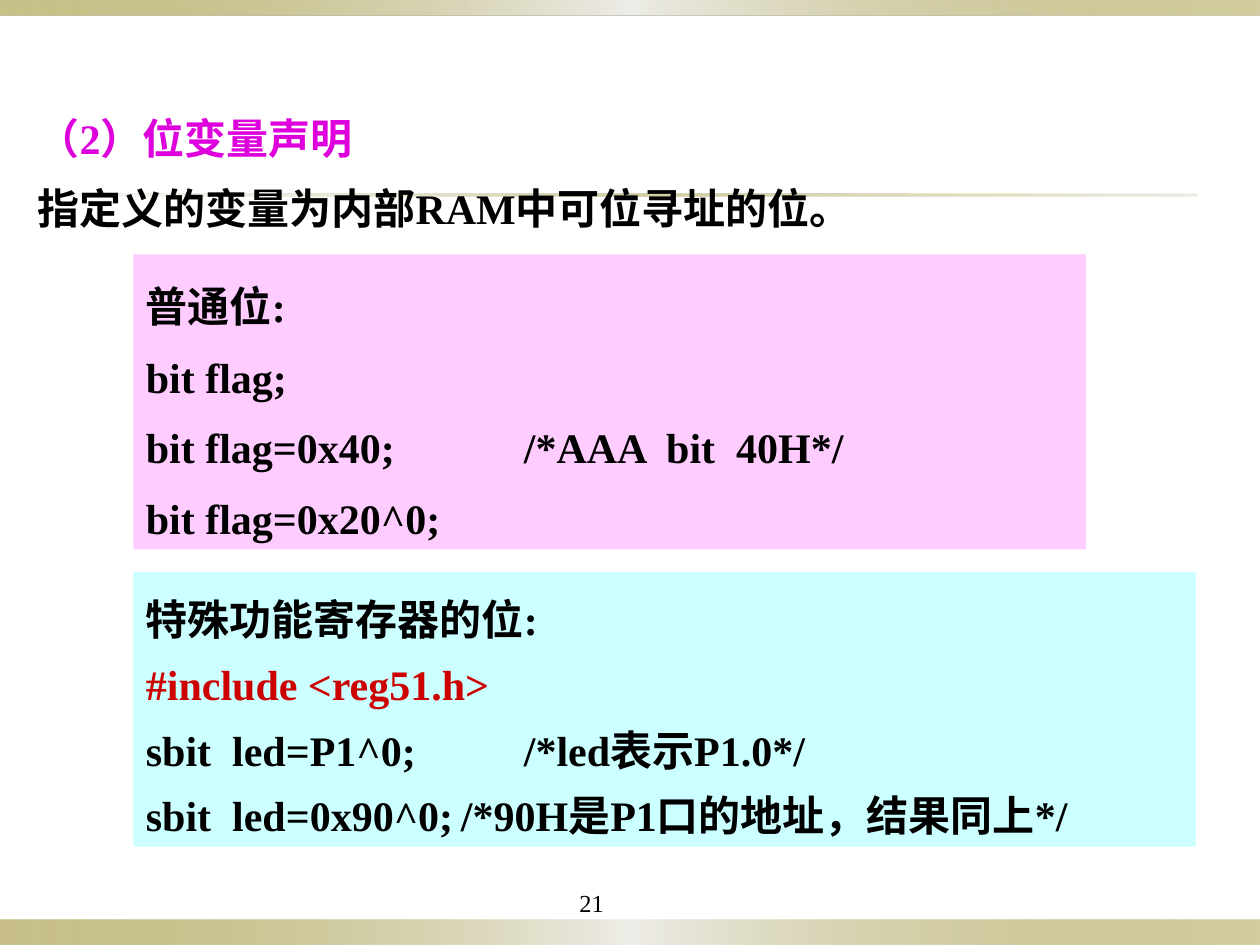
from pptx import Presentation
from pptx.dml.color import RGBColor
from pptx.enum.shapes import MSO_SHAPE as Shape
from pptx.enum.text import MSO_ANCHOR as Anchor, PP_ALIGN as Align
from pptx.oxml import parse_xml
from pptx.oxml.ns import nsdecls, qn
from pptx.util import Inches, Pt

BLACK = RGBColor(0x00, 0x00, 0x00)
MAGENTA = RGBColor(0xDD, 0x00, 0xDD)
RED = RGBColor(0xCC, 0x00, 0x00)
PINK = RGBColor(0xFF, 0xCC, 0xFF)
CYAN = RGBColor(0xCC, 0xFF, 0xFF)
OLIVE = RGBColor(0x91, 0x84, 0x15)
PALE = RGBColor(0xEE, 0xED, 0xE8)
SAND = RGBColor(0xDC, 0xD9, 0xCC)
FONT = "Times New Roman"
BAR_STOPS = [(0, OLIVE, 50), (50, PALE, 100), (100, OLIVE, 40)]
RULE_STOPS = [(0, SAND, 20), (50, OLIVE, 40), (100, SAND, 50)]


def add_rectangle(page, left, top, width, height):
    box = page.shapes.add_shape(
        Shape.RECTANGLE, Inches(left), Inches(top), Inches(width), Inches(height)
    )
    box.shadow.inherit = False
    box.line.fill.background()
    return box


def add_gradient_bar(page, left, top, width, height, stops):
    bar = add_rectangle(page, left, top, width, height)
    bar.fill.gradient()
    bar.fill.gradient_angle = 0
    stop_list = bar.fill._xPr.find(qn("a:gradFill")).find(qn("a:gsLst"))
    for stop in list(stop_list):
        stop_list.remove(stop)
    for position, color, opacity in stops:
        stop_list.append(parse_xml(
            f'<a:gs {nsdecls("a")} pos="{position * 1000}"><a:srgbClr val="{color}">'
            f'<a:alpha val="{opacity * 1000}"/></a:srgbClr></a:gs>'
        ))


def write_lines(box, lines, size=24, bold=True, spacing=1.0):
    frame = box.text_frame
    frame.word_wrap = True
    frame.vertical_anchor = Anchor.TOP
    frame.text = "\n".join(text for text, color in lines)
    for para, (text, color) in zip(frame.paragraphs, lines):
        para.alignment = Align.LEFT
        para.line_spacing = spacing
        for span in para.runs:
            span.font.name = FONT
            span.font.size = Pt(size)
            span.font.bold = bold
            span.font.color.rgb = color


def add_text(page, left, top, width, height, lines, **style):
    box = page.shapes.add_textbox(
        Inches(left), Inches(top), Inches(width), Inches(height)
    )
    write_lines(box, lines, **style)


def add_code_panel(page, left, top, width, height, fill, lines, spacing):
    panel = add_rectangle(page, left, top, width, height)
    panel.fill.solid()
    panel.fill.fore_color.rgb = fill
    write_lines(panel, lines, spacing=spacing)


def main():
    deck = Presentation()
    deck.slide_width, deck.slide_height = Inches(10), Inches(7.5)
    page = deck.slides.add_slide(deck.slide_layouts[6])

    add_gradient_bar(page, 0, 7.3, 10, 0.2, BAR_STOPS)
    add_gradient_bar(page, 0, 0, 10, 0.12, BAR_STOPS)
    add_gradient_bar(page, 0.5, 1.54, 9, 0.02, RULE_STOPS)
    add_text(page, 4.5, 7, 1, 0.31, [("21", BLACK)], size=14, bold=False)
    add_text(page, 0.2, 0.68, 9.14, 1.22, [
        ("（2）位变量声明", MAGENTA),
        ("指定义的变量为内部RAM中可位寻址的位。", BLACK),
    ], spacing=1.4)
    add_code_panel(page, 1.06, 2.02, 7.56, 2.34, PINK, [
        ("普通位:", BLACK),
        ("bit flag;", BLACK),
        ("bit flag=0x40;\t\t\t/*AAA  bit  40H*/", BLACK),
        ("bit flag=0x20^0;", BLACK),
    ], 1.4)
    add_code_panel(page, 1.06, 4.54, 8.43, 2.18, CYAN, [
        ("特殊功能寄存器的位:", BLACK),
        ("#include <reg51.h>", RED),
        ("sbit  led=P1^0;\t\t/*led表示P1.0*/", BLACK),
        ("sbit  led=0x90^0;\t/*90H是P1口的地址，结果同上*/", BLACK),
    ], 1.3)
    deck.save("out.pptx")


if __name__ == "__main__":
    main()
